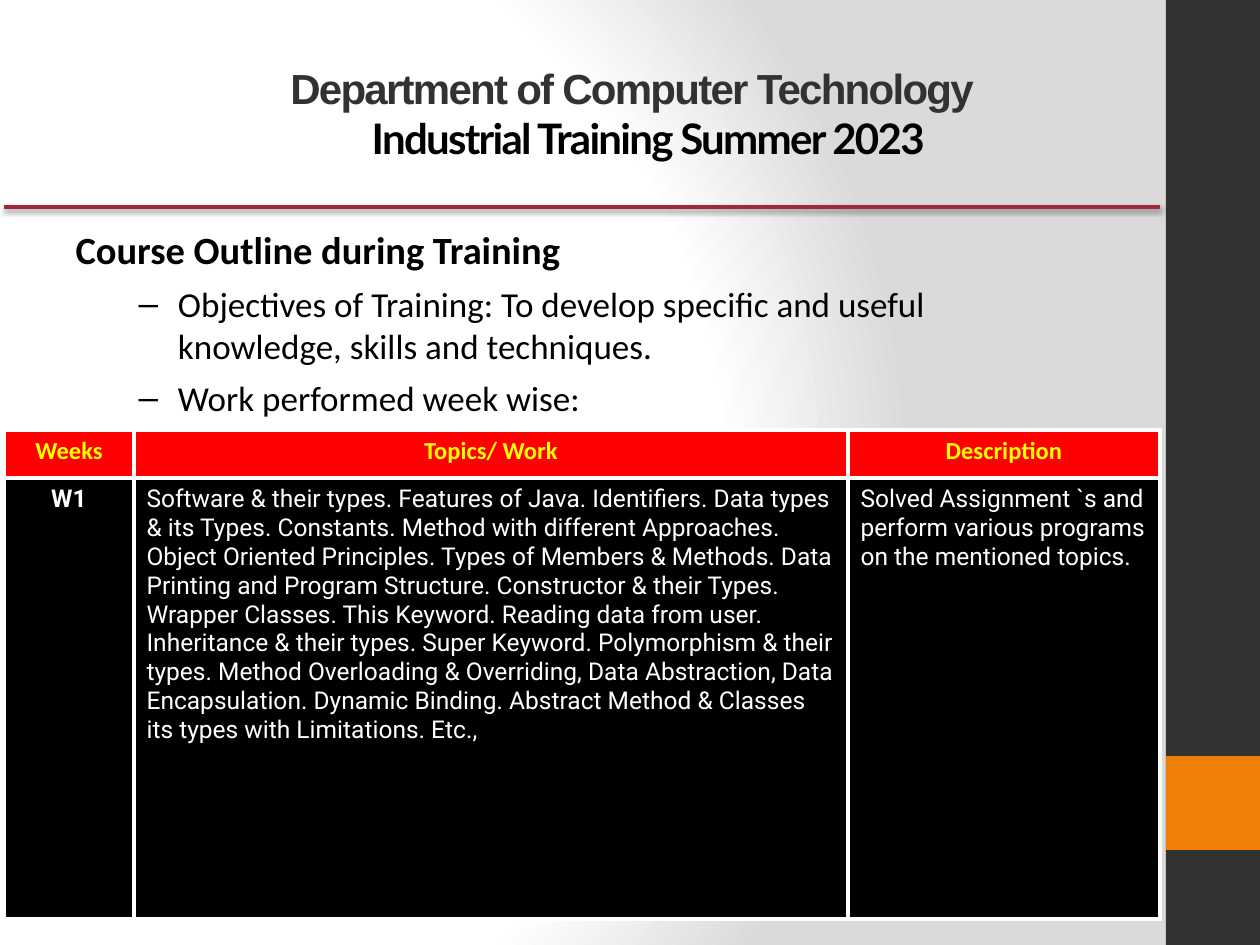
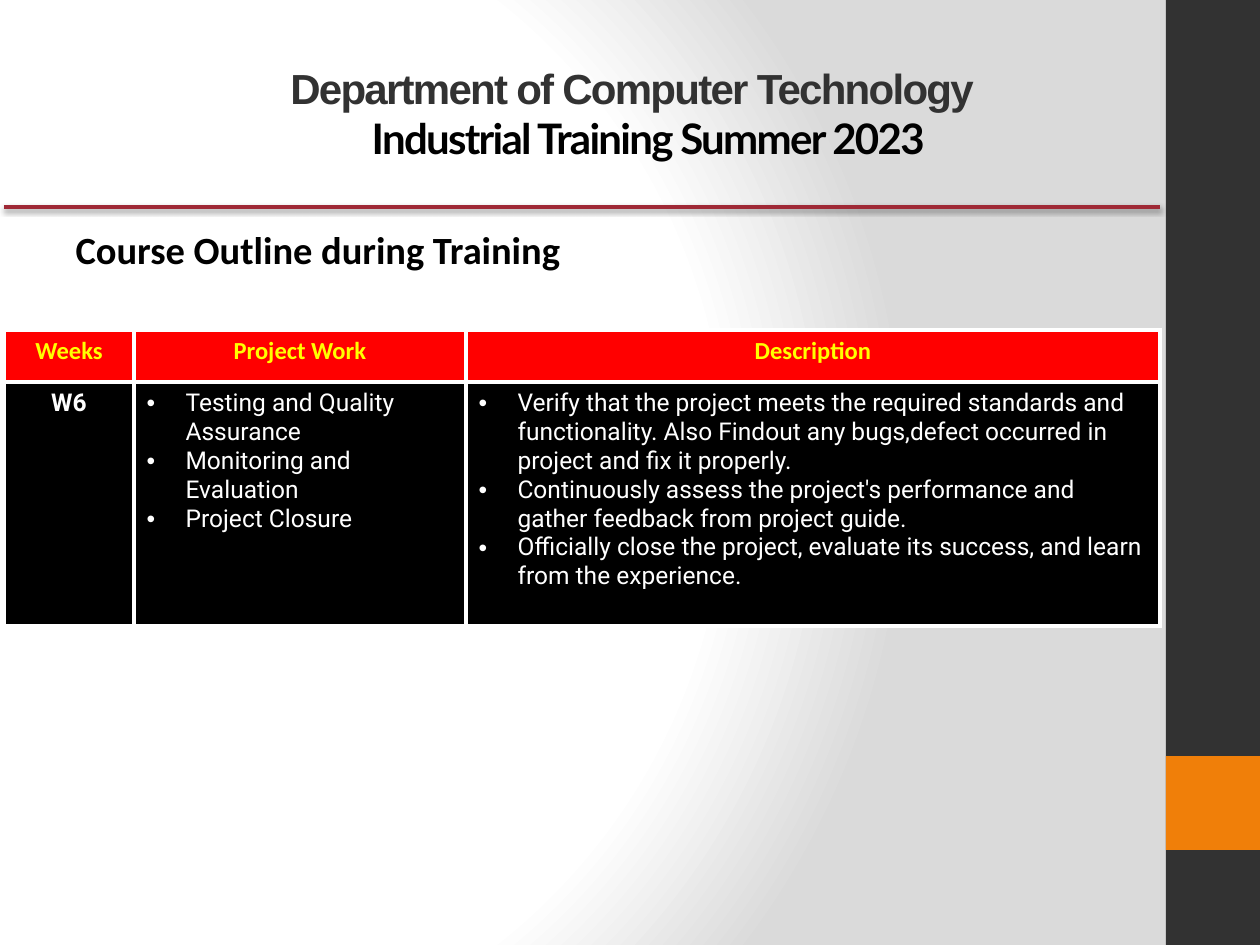
from dataclasses import dataclass

from pptx import Presentation
from pptx.dml.color import RGBColor
from pptx.enum.shapes import MSO_CONNECTOR, MSO_SHAPE
from pptx.enum.text import MSO_ANCHOR, MSO_AUTO_SIZE, PP_ALIGN
from pptx.oxml import parse_xml
from pptx.oxml.ns import nsdecls, qn
from pptx.presentation import Presentation as Deck
from pptx.slide import Slide
from pptx.util import Emu, Pt

RECT = MSO_SHAPE.RECTANGLE
STRAIGHT = MSO_CONNECTOR.STRAIGHT
MIDDLE, TOP = MSO_ANCHOR.MIDDLE, MSO_ANCHOR.TOP
CENTER, LEFT = PP_ALIGN.CENTER, PP_ALIGN.LEFT
NO_FIT = MSO_AUTO_SIZE.NONE

EMU_PER_PX = 9144000 / 1260
WIDTH, HEIGHT = 1260, 945
TABLE_X = 4
BULLET_INDENT = 39
BLACK, WHITE, DARK, ORANGE = "000000", "FFFFFF", "323232", "F07F09"
RED, YELLOW, RULE_RED, GREY = "FF0000", "FFFF00", "9F2936", "DADADA"


@dataclass(frozen=True)
class Band:
    x: int
    y: int
    w: int
    h: int
    color: str


@dataclass(frozen=True)
class TitleLine:
    text: str
    font: str
    color: str
    indent: int


@dataclass(frozen=True)
class WeekTable:
    y: int
    cols: tuple[int, ...]
    rows: tuple[int, int]
    headers: tuple[str, ...]
    week: str
    entries: tuple[tuple[str, ...], ...]


@dataclass(frozen=True)
class OutlineSlide:
    points: tuple[str, ...]
    table: WeekTable


BANDS = (Band(1166, 0, 94, 945, DARK), Band(1166, 756, 94, 94, ORANGE))
TITLE = (
    TitleLine("Department of Computer Technology", "Arial", DARK, 100),
    TitleLine("Industrial Training Summer 2023", "Lato", BLACK, 132),
)
HEADING = "Course Outline during Training"
SLIDES = (
    OutlineSlide(
        (
            "Objectives of Training: To develop specific and useful "
            "knowledge, skills and techniques.",
            "Work performed week wise:",
        ),
        WeekTable(
            430, (130, 714, 312), (48, 441),
            ("Weeks", "Topics/ Work", "Description"), "W1",
            (
                (
                    "Software & their types. Features of Java. Identifiers. "
                    "Data types & its Types. Constants. Method with different "
                    "Approaches. Object Oriented Principles. Types of Members "
                    "& Methods. Data Printing and Program Structure. "
                    "Constructor & their Types. Wrapper Classes. This Keyword. "
                    "Reading data from user. Inheritance & their types. Super "
                    "Keyword. Polymorphism & their types. Method Overloading "
                    "& Overriding, Data Abstraction, Data Encapsulation. "
                    "Dynamic Binding. Abstract Method & Classes its types "
                    "with Limitations. Etc.,",
                ),
                (
                    "Solved Assignment `s and perform various programs on "
                    "the mentioned topics.",
                ),
            ),
        ),
    ),
    OutlineSlide(
        (),
        WeekTable(
            330, (130, 332, 694), (52, 244),
            ("Weeks", "Project Work", "Description"), "W6",
            (
                (
                    "Testing and Quality Assurance",
                    "Monitoring and Evaluation",
                    "Project Closure",
                ),
                (
                    "Verify that the project meets the required standards and "
                    "functionality. Also Findout any bugs,defect occurred in "
                    "project and fix it properly.",
                    "Continuously assess the project's performance and gather "
                    "feedback from project guide.",
                    "Officially close the project, evaluate its success, and "
                    "learn from the experience.",
                ),
            ),
        ),
    ),
)


def px(n: int) -> Emu:
    return Emu(round(n * EMU_PER_PX))


def rgb(color: str) -> RGBColor:
    return RGBColor.from_string(color)


def format_runs(p, font: str, size: int, color: str, bold: bool) -> None:
    for r in p.runs:
        r.font.name = font
        r.font.size = Pt(size)
        r.font.bold = bold
        r.font.color.rgb = rgb(color)


def place(sp, x: int, y: int, w: int, h: int) -> None:
    sp.left, sp.top, sp.width, sp.height = map(px, (x, y, w, h))


def set_background(prs: Deck) -> None:
    c_sld = prs.slide_master.element.find(qn("p:cSld"))
    old = c_sld.find(qn("p:bg"))
    if old is not None:
        c_sld.remove(old)
    stops = "".join(
        f'<a:gs pos="{pos * 1000}"><a:srgbClr val="{color}"/></a:gs>'
        for pos, color in ((0, WHITE), (75, WHITE), (100, GREY))
    )
    c_sld.insert(0, parse_xml(
        f'<p:bg {nsdecls("p", "a")}><p:bgPr><a:gradFill rotWithShape="1">'
        f'<a:gsLst>{stops}</a:gsLst><a:path path="circle">'
        '<a:fillToRect l="20000" t="50000" r="100000" b="50000"/></a:path>'
        '</a:gradFill><a:effectLst/></p:bgPr></p:bg>'
    ))


def add_band(s: Slide, band: Band) -> None:
    sp = s.shapes.add_shape(RECT, *map(px, (band.x, band.y, band.w, band.h)))
    sp.shadow.inherit = False
    sp.fill.solid()
    sp.fill.fore_color.rgb = rgb(band.color)
    sp.line.fill.background()


def add_rule(s: Slide) -> None:
    line = s.shapes.add_connector(STRAIGHT, px(4), px(207), px(1160), px(207))
    line.line.color.rgb = rgb(RULE_RED)
    line.line.width = Pt(2)
    line.element.spPr.append(parse_xml(
        f'<a:effectLst {nsdecls("a")}>'
        f'<a:outerShdw blurRad="{Pt(3.1)}" dist="{Pt(1.6)}" dir="5400000" '
        f'rotWithShape="0"><a:srgbClr val="{BLACK}"><a:alpha val="38000"/>'
        '</a:srgbClr></a:outerShdw></a:effectLst>'
    ))


def fill_title(s: Slide) -> None:
    sp = s.shapes.title
    place(sp, 57, 34, 1050, 158)
    tf = sp.text_frame
    tf.auto_size = NO_FIT
    tf.vertical_anchor = MIDDLE
    tf.text = "\n".join(line.text for line in TITLE)
    for p, line in zip(tf.paragraphs, TITLE):
        p.alignment = CENTER
        p._p.get_or_add_pPr().set("marL", str(px(line.indent)))
        format_runs(p, line.font, 24, line.color, True)
        for r in p.runs:
            r._r.get_or_add_rPr().set("spc", "-100")


def fill_body(s: Slide, points: tuple[str, ...]) -> None:
    sp = s.placeholders[1]
    place(sp, 63, 220, 1050, 662)
    tf = sp.text_frame
    tf.auto_size = NO_FIT
    tf.vertical_anchor = TOP
    tf.text = "\n".join((HEADING, *points))
    heading, *items = tf.paragraphs
    heading.space_before = Pt(0)
    p_pr = heading._p.get_or_add_pPr()
    p_pr.set("marL", "0")
    p_pr.set("indent", "0")
    p_pr.append(parse_xml(f'<a:buNone {nsdecls("a")}/>'))
    format_runs(heading, "Calibri", 22, BLACK, True)
    for p in items:
        p.level = 1
        p.space_before = Pt(5.6)
        p._p.get_or_add_pPr().set("marR", str(px(100)))
        format_runs(p, "Calibri", 20, BLACK, False)


def add_bullet(p) -> None:
    p_pr = p._p.get_or_add_pPr()
    p_pr.set("marL", str(px(BULLET_INDENT)))
    p_pr.set("indent", str(-px(BULLET_INDENT)))
    p_pr.append(parse_xml(f'<a:buFont {nsdecls("a")} typeface="Arial"/>'))
    p_pr.append(parse_xml(f'<a:buChar {nsdecls("a")} char="•"/>'))


def fill_cell(cell, lines: tuple[str, ...], font: str, color: str,
              fill: str, bold: bool) -> None:
    tc_pr = cell._tc.get_or_add_tcPr()
    for side in ("lnL", "lnR", "lnT", "lnB"):
        tc_pr.append(parse_xml(
            f'<a:{side} {nsdecls("a")} w="{Pt(3)}"><a:solidFill>'
            f'<a:srgbClr val="{WHITE}"/></a:solidFill></a:{side}>'
        ))
    cell.fill.solid()
    cell.fill.fore_color.rgb = rgb(fill)
    tf = cell.text_frame
    tf.text = "\n".join(lines)
    for p in tf.paragraphs:
        p.alignment = CENTER if bold else LEFT
        if len(lines) > 1:
            add_bullet(p)
        format_runs(p, font, 14, color, bold)


def add_week_table(s: Slide, spec: WeekTable) -> None:
    frame = s.shapes.add_table(
        2, len(spec.cols), px(TABLE_X), px(spec.y),
        px(sum(spec.cols)), px(sum(spec.rows)),
    )
    table = frame.table
    table.horz_banding = False
    for col, width in zip(table.columns, spec.cols):
        col.width = px(width)
    for row, height in zip(table.rows, spec.rows):
        row.height = px(height)
    for i, header in enumerate(spec.headers):
        fill_cell(table.cell(0, i), (header,), "Calibri", YELLOW, RED, True)
    for i, lines in enumerate(((spec.week,), *spec.entries)):
        fill_cell(table.cell(1, i), lines, "Roboto", WHITE, BLACK, i == 0)


def add_outline_slide(prs: Deck, spec: OutlineSlide) -> None:
    s = prs.slides.add_slide(prs.slide_layouts[1])
    for band in BANDS:
        add_band(s, band)
    fill_body(s, spec.points)
    add_rule(s)
    fill_title(s)
    add_week_table(s, spec.table)


def main() -> None:
    prs = Presentation()
    prs.slide_width, prs.slide_height = px(WIDTH), px(HEIGHT)
    set_background(prs)
    for spec in SLIDES:
        add_outline_slide(prs, spec)
    prs.save("out.pptx")


if __name__ == "__main__":
    main()
